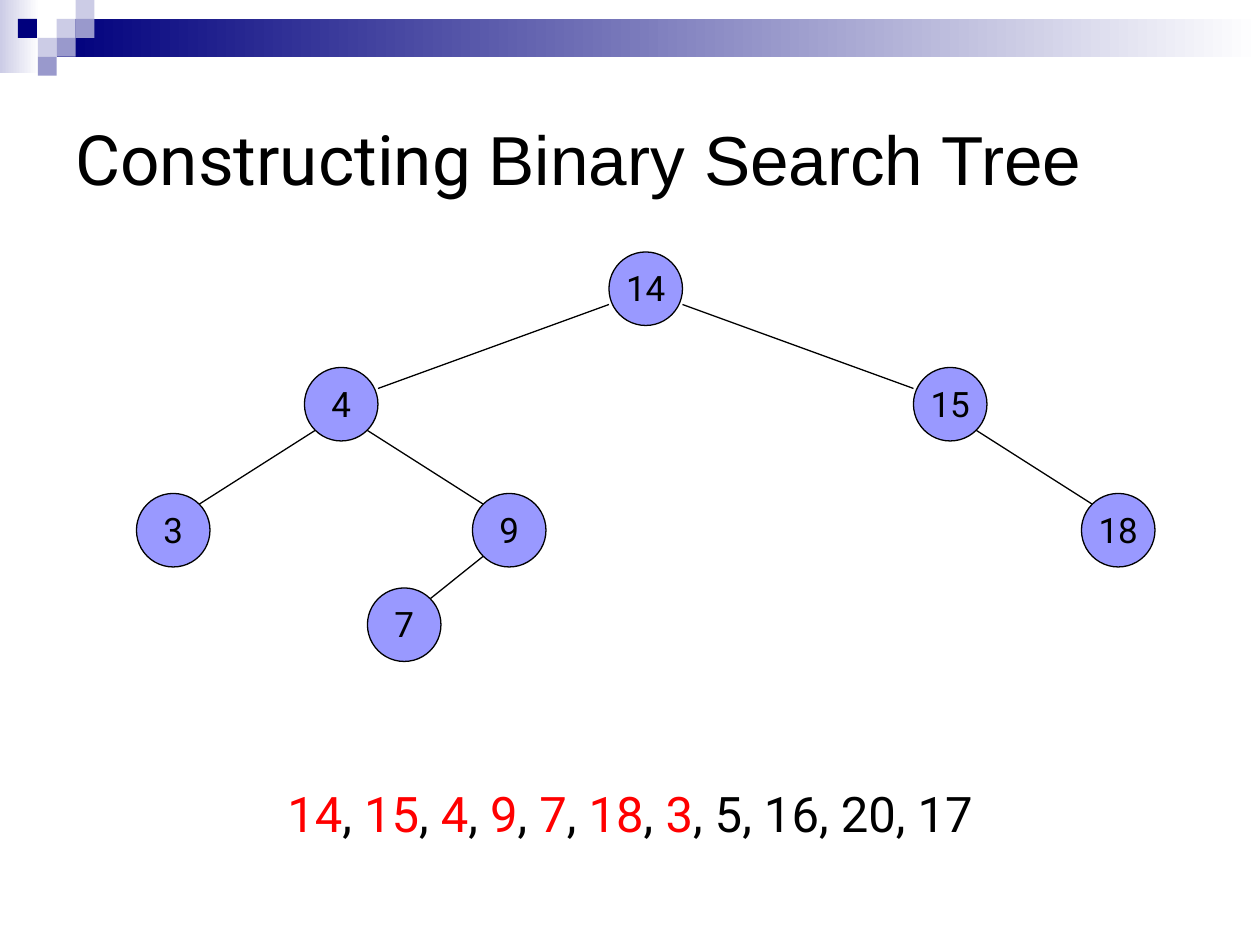
from lxml import etree
from pptx import Presentation, util as u
from pptx.dml.color import RGBColor
from pptx.enum import shapes, text
from pptx.oxml.ns import qn

COLOURS = {
    "navy": "00007D", "pale": "CCCCE6", "mid": "9999CC", "white": "FFFFFF",
    "node": "9999FF", "black": "000000", "red": "FF0000",
}
rgb = {name: RGBColor.from_string(value) for name, value in COLOURS.items()}

presentation = Presentation()
presentation.slide_width, presentation.slide_height = u.Inches(10), u.Inches(7.5)
slide = presentation.slides.add_slide(presentation.slide_layouts[6])
cell = presentation.slide_width / 120
tile = presentation.slide_width * 0.015


def add_preset(kind, unit, column, row, columns, rows, fill, end=None):
    lengths = [u.Emu(round(unit * value)) for value in (column, row, columns, rows)]
    shape = slide.shapes.add_shape(kind, *lengths)
    shape.shadow.inherit = False
    shape.line.fill.background()
    if end:
        shape.fill.gradient()
        shape.fill.gradient_angle = 0
        for stop, colour in zip(shape.fill.gradient_stops, (fill, end)):
            stop.color.rgb = rgb[colour]
    else:
        shape.fill.solid()
        shape.fill.fore_color.rgb = rgb[fill]
    return shape


def add_text(column, row, columns, rows, size, pieces, align, anchor):
    lengths = [u.Emu(round(cell * value)) for value in (column, row, columns, rows)]
    frame = slide.shapes.add_textbox(*lengths).text_frame
    frame.word_wrap = True
    frame.vertical_anchor = anchor
    paragraph = frame.paragraphs[0]
    paragraph.alignment = align
    for wording, font, colour in pieces:
        run = paragraph.add_run()
        run.text = wording
        run.font.name = font
        run.font.size = u.Pt(size)
        run.font.color.rgb = rgb[colour]
    return paragraph


rectangle, oval = shapes.MSO_SHAPE.RECTANGLE, shapes.MSO_SHAPE.OVAL
left, centre = text.PP_ALIGN.LEFT, text.PP_ALIGN.CENTER
top, middle = text.MSO_ANCHOR.TOP, text.MSO_ANCHOR.MIDDLE

add_preset(rectangle, cell, 0, 0, 3.75, 7, "pale", "white")
add_preset(rectangle, tile, 3, 1, 1 / 0.015 - 3, 2, "navy", "white")
tiles = [(3, 1, "pale"), (4, 0, "pale"), (4, 1, "mid"), (2, 2, "pale"),
         (0.95, 1, "navy"), (3, 2, "mid"), (2, 3, "mid")]
for column, row, colour in tiles:
    add_preset(rectangle, tile, column, row, 1, 1, colour)

title = [("Constructing ", "Roboto", "black"), ("Binary Search Tree", "Arial", "black")]
add_text(6, 6, 108, 18, 39.6, title, left, middle)

keys = [14, 15, 4, 9, 7, 18, 3, 5, 16, 20, 17]
nodes = {14: (58, 24), 15: (87, 35), 4: (29, 35), 9: (45, 47),
         7: (35, 56), 18: (103, 47), 3: (13, 47)}
parents = {15: 14, 4: 14, 9: 4, 7: 9, 18: 15, 3: 4}
root, diameter = keys[0], 7

sequence = []
for key in keys:
    if sequence:
        sequence.append((", ", "Roboto", "black"))
    sequence.append((str(key), "Roboto", "red" if key in nodes else "black"))
add_text(6, 74, 108, 9, 28, sequence, centre, top).space_before = u.Pt(5.6)

for key, (column, row) in nodes.items():
    circle = add_preset(oval, cell, column, row, diameter, diameter, "node")
    circle.line.color.rgb = rgb["black"]
    circle.line.width = u.Pt(0.75)
    add_text(column - 1, row + 0.8, diameter + 2, 5.2, 20,
             [(str(key), "Roboto", "black")], centre, top)
    if key not in parents:
        continue
    parent = parents[key]
    parent_column, parent_row = nodes[parent]
    inset, leave, arrive = (0, 5, 2) if parent == root else (1, 6, 1)
    near, far = inset, diameter - inset
    start, end = (far, near) if key > parent else (near, far)
    points = (parent_column + start, parent_row + leave, column + end, row + arrive)
    edge = slide.shapes.add_connector(shapes.MSO_CONNECTOR.STRAIGHT,
                                      *[u.Emu(round(cell * value)) for value in points])
    edge.line.color.rgb = rgb["black"]
    edge.line.width = u.Pt(0.75)
    etree.SubElement(edge._element.spPr, qn("a:effectLst"))

presentation.save("out.pptx")
